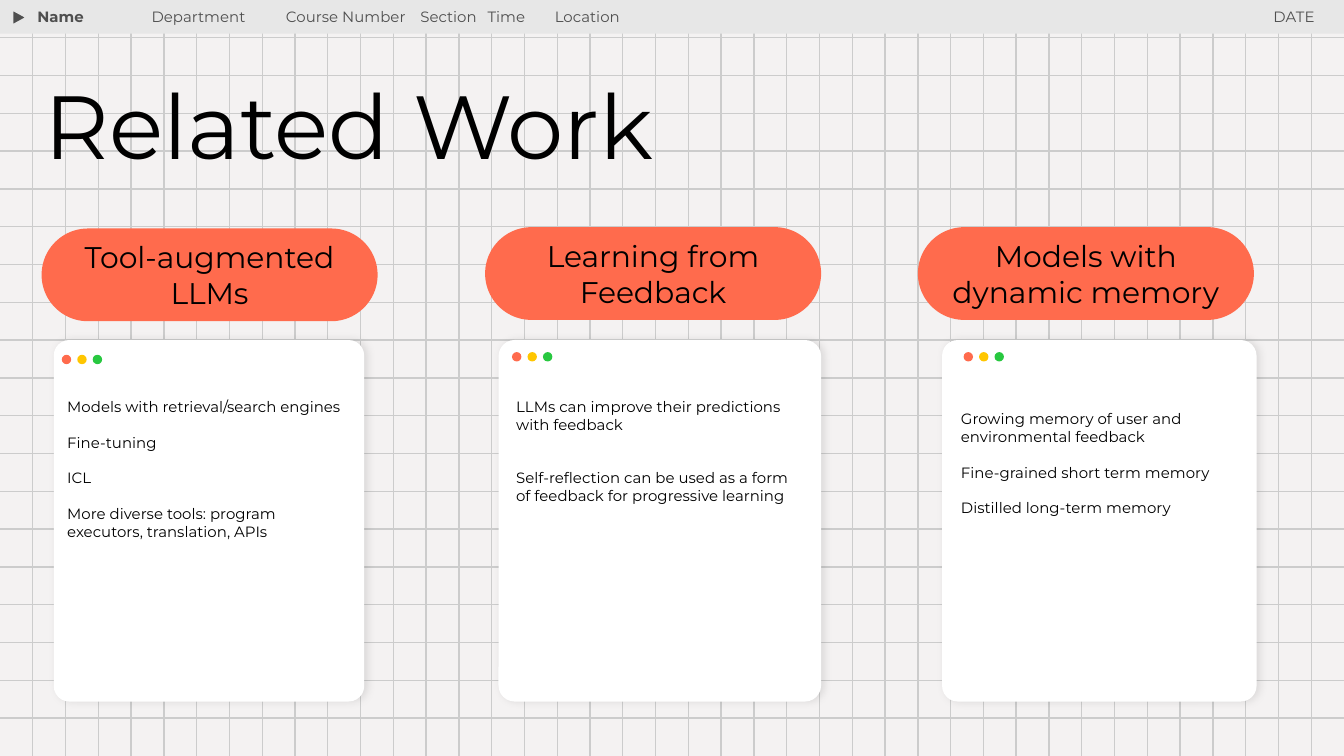
from dataclasses import dataclass

from lxml.etree import SubElement
from pptx import Presentation
from pptx.dml.color import RGBColor
from pptx.enum.shapes import MSO_CONNECTOR, MSO_SHAPE
from pptx.enum.text import MSO_ANCHOR, MSO_AUTO_SIZE, PP_ALIGN
from pptx.oxml.ns import qn
from pptx.util import Inches, Pt


@dataclass(frozen=True)
class Theme:
    """Colours, type sizes and font of the slide."""

    font: str = "Montserrat"
    back: str = "F4F2F2"
    grid: str = "CCCCCC"
    bar: str = "E7E7E7"
    gray: str = "4F4F4F"
    ink: str = "000000"
    card: str = "FFFFFF"
    pill: str = "FF6B4D"
    dots: tuple = ("FF6B4D", "FFC600", "28C840")
    small: int = 8
    mid: int = 16
    large: int = 48


@dataclass(frozen=True)
class Topic:
    """One column: a pill, a card, its dots and its list."""

    head: str
    pill: tuple
    card: tuple
    dots: tuple
    list: tuple
    items: tuple
    gap: float = 9.5


THEME = Theme()
WIDTH, HEIGHT = 10, 10 * 9 / 16
COLS, ROWS = 41, 20
TABS = (0.81, 1.82, 2.35, 2.75)
TOPICS = (
    Topic("Tool-augmented LLMs", (0.31, 1.7), (0.4, 2.31), (0.46, 2.64),
          (0.4, 2.86, 2.25, 2.22),
          ("Models with retrieval/search engines", "Fine-tuning", "ICL",
           "More diverse tools: program executors, translation, APIs")),
    Topic("Learning from Feedback", (3.61, 1.69), (3.71, 2.4), (3.81, 2.62),
          (3.74, 2.86, 2.25, 1.82),
          ("LLMs can improve their predictions with feedback",
           "Self-reflection can be used as a form of feedback "
           "for progressive learning"), 19),
    Topic("Models with dynamic memory", (6.83, 1.69), (7.01, 2.34),
          (7.17, 2.62), (7.05, 2.95, 2.25, 2.02),
          ("Growing memory of user and environmental feedback",
           "Fine-grained short term memory", "Distilled long-term memory")),
)


def color(code):
    """Turn a hex code into a colour."""
    return RGBColor.from_string(code)


def add_form(slide, kind, box, fill):
    """Draw a flat preset shape with no outline."""
    form = slide.shapes.add_shape(kind, *map(Inches, box))
    form.shadow.inherit = False
    form.fill.solid()
    form.fill.fore_color.rgb = color(fill)
    form.line.fill.background()
    return form


def add_rule(slide, start, end):
    """Draw one line of the background grid."""
    rule = slide.shapes.add_connector(
        MSO_CONNECTOR.STRAIGHT, *map(Inches, start + end))
    rule.line.color.rgb = color(THEME.grid)
    rule.line.width = Pt(0.75)
    SubElement(rule.element.spPr, qn("a:effectLst"))


def add_grid(slide):
    """Rule the slide into equal columns and rows."""
    for row in range(1, ROWS):
        y = HEIGHT * row / ROWS
        add_rule(slide, (0, y), (WIDTH, y))
    for col in range(1, COLS):
        x = WIDTH * col / COLS
        add_rule(slide, (x, 0), (x, HEIGHT))


def write(shape, lines, size, ink=THEME.ink, align=PP_ALIGN.LEFT,
          anchor=MSO_ANCHOR.TOP, bold=False, gap=0, tabs=()):
    """Fill a shape with plain paragraphs in one style."""
    frame = shape.text_frame
    frame.word_wrap = True
    frame.auto_size = MSO_AUTO_SIZE.NONE
    frame.vertical_anchor = anchor
    frame.margin_left = frame.margin_right = Inches(0.1)
    frame.margin_top = frame.margin_bottom = Inches(0.1)
    frame.text = "\n".join(lines)
    for rank, para in enumerate(frame.paragraphs):
        props = para._p.get_or_add_pPr()
        props.set("marL", "0")
        props.set("indent", "0")
        SubElement(props, qn("a:buNone"))
        if tabs:
            stops = SubElement(props, qn("a:tabLst"))
            for stop in tabs:
                SubElement(stops, qn("a:tab"), pos=str(Inches(stop)), algn="l")
        para.alignment = align
        para.space_before = Pt(gap if rank else 0)
        para.font.name = THEME.font
        para.font.size = Pt(size)
        para.font.bold = bold
        para.font.color.rgb = color(ink)


def place(slide, holder, box):
    """Move a placeholder to a box and bring it to the front."""
    holder.left, holder.top, holder.width, holder.height = map(Inches, box)
    slide.shapes.element.append(holder.element)


def add_label(slide, text, left, width, **style):
    """Write a label in the top bar."""
    box = slide.shapes.add_textbox(*map(Inches, (left, -0.04, width, 0.47)))
    write(box, [text], THEME.small, THEME.gray, **style)


def add_bar(slide):
    """Draw the top bar with its marker and labels."""
    add_form(slide, MSO_SHAPE.RECTANGLE, (0, 0, WIDTH, 0.25), THEME.bar)
    mark = add_form(slide, MSO_SHAPE.ISOSCELES_TRIANGLE,
                    (0.09, 0.08, 0.11, 0.1), THEME.gray)
    mark.rotation = 90
    mark.line.color.rgb = color(THEME.bar)
    mark.line.width = Pt(0.75)
    add_label(slide, "Name", 0.18, 1.28, bold=True)
    add_label(slide, "Department\tCourse Number\tSection\tTime\tLocation",
              1.03, 4.17, tabs=TABS)
    add_label(slide, "DATE", 8.21, 1.67, align=PP_ALIGN.RIGHT)


def add_card(slide, left, width):
    """Draw a white card with a soft shadow."""
    card = add_form(slide, MSO_SHAPE.ROUNDED_RECTANGLE,
                    (left, 2.53, width, 2.69), THEME.card)
    card.adjustments[0] = 0.05
    effects = card.element.spPr.find(qn("a:effectLst"))
    shade = SubElement(effects, qn("a:outerShdw"), blurRad=str(Pt(4.5)),
                       dist=str(Pt(1.5)), dir="0", algn="bl", rotWithShape="0")
    tone = SubElement(shade, qn("a:srgbClr"), val=THEME.ink)
    SubElement(tone, qn("a:alpha"), val="10000")


def add_topic(slide, topic, holder):
    """Build one column of the slide."""
    pill = add_form(slide, MSO_SHAPE.ROUNDED_RECTANGLE,
                    (*topic.pill, 2.5, 0.69), THEME.pill)
    pill.adjustments[0] = 0.5
    write(pill, [topic.head], THEME.mid, align=PP_ALIGN.CENTER,
          anchor=MSO_ANCHOR.MIDDLE)
    add_card(slide, *topic.card)
    left, top = topic.dots
    for rank, fill in enumerate(THEME.dots):
        add_form(slide, MSO_SHAPE.OVAL,
                 (left + rank * 0.23 / 2, top, 0.07, 0.07), fill)
    place(slide, holder, topic.list)
    write(holder, topic.items, THEME.small, gap=topic.gap)


def main():
    """Build and save the slide."""
    deck = Presentation()
    deck.slide_width, deck.slide_height = Inches(WIDTH), Inches(HEIGHT)
    slide = deck.slides.add_slide(deck.slide_layouts.get_by_name("Comparison"))
    slide.background.fill.solid()
    slide.background.fill.fore_color.rgb = color(THEME.back)
    title, *lists, spare = slide.placeholders
    spare.element.getparent().remove(spare.element)
    add_grid(slide)
    add_bar(slide)
    place(slide, title, (0.23, 0.51, 8.26, 0.93))
    write(title, ["Related Work"], THEME.large)
    title.text_frame.paragraphs[0].line_spacing = 0.9
    for topic, holder in zip(TOPICS, lists):
        add_topic(slide, topic, holder)
    deck.save("out.pptx")


if __name__ == "__main__":
    main()
